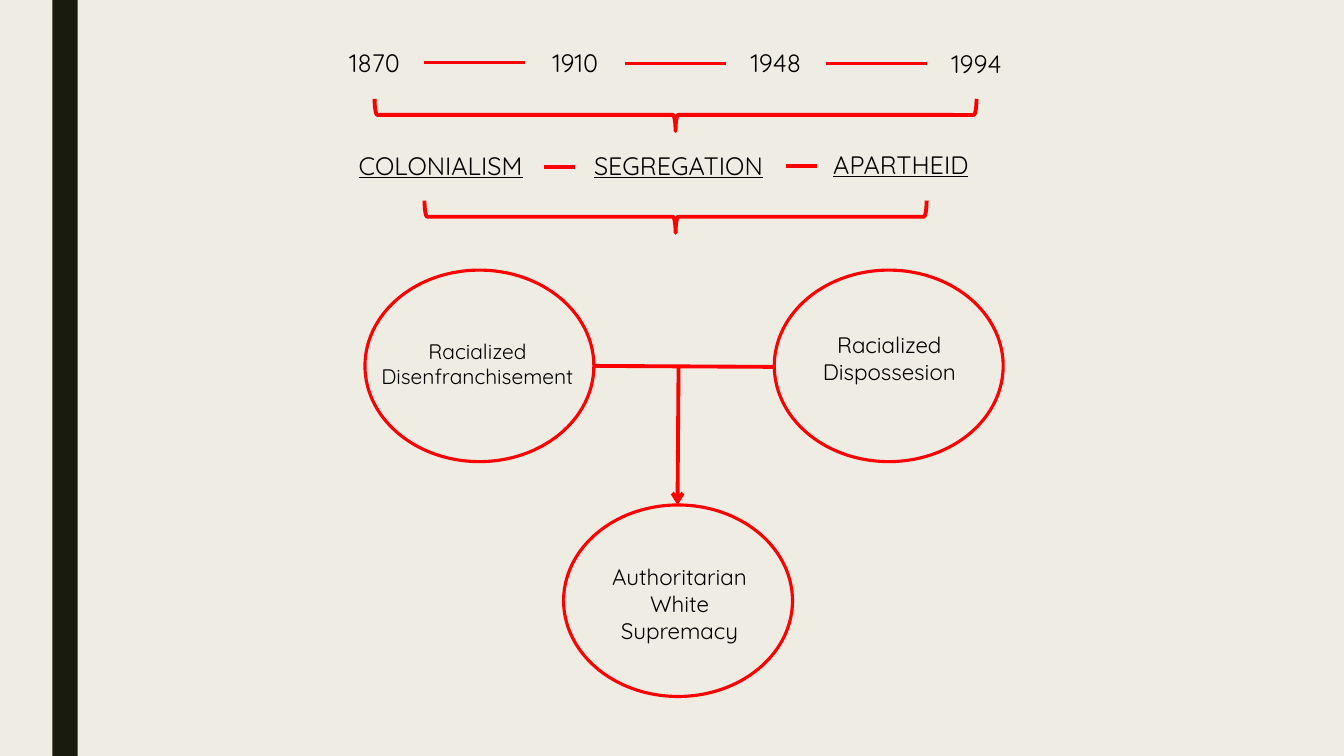
from dataclasses import dataclass

from lxml import etree
from pptx import Presentation
from pptx.dml.color import RGBColor
from pptx.enum.shapes import MSO_CONNECTOR, MSO_SHAPE
from pptx.enum.text import MSO_AUTO_SIZE, PP_ALIGN
from pptx.oxml.ns import qn
from pptx.util import Emu, Pt

RECTANGLE = MSO_SHAPE.RECTANGLE
ELLIPSE = MSO_SHAPE.OVAL
BRACE = MSO_SHAPE.RIGHT_BRACE
STRAIGHT = MSO_CONNECTOR.STRAIGHT
CENTER = PP_ALIGN.CENTER
GROW = MSO_AUTO_SIZE.SHAPE_TO_FIT_TEXT

EMU_PER_PX = 9144  # 100 px to the inch
SLIDE_WIDTH, SLIDE_HEIGHT = 1333, 750


@dataclass(frozen=True)
class Theme:
    background: RGBColor = RGBColor(0xEF, 0xED, 0xE3)
    band: RGBColor = RGBColor(0x19, 0x1B, 0x0E)
    accent: RGBColor = RGBColor(0xFF, 0x00, 0x00)
    text: RGBColor = RGBColor(0x00, 0x00, 0x00)
    font: str = "Quicksand"
    heading_size: float = 18
    body_size: float = 16
    small_size: float = 15
    line_width: float = 2.75
    circle_width: float = 2.25


def px(length):
    return Emu(round(length * EMU_PER_PX))


def write_text(frame, text, *, theme, size, underline=None):
    """Fill a text frame with one centred paragraph per line of text."""
    frame.word_wrap = True
    frame.auto_size = GROW
    for index, line in enumerate(text.split("\n")):
        paragraph = frame.paragraphs[0] if index == 0 else frame.add_paragraph()
        paragraph.alignment = CENTER
        run = paragraph.add_run()
        run.text = line
        run.font.name = theme.font
        run.font.size = Pt(size)
        run.font.underline = underline
        run.font.color.rgb = theme.text


class Diagram:
    def __init__(self, slide, theme):
        self.slide = slide
        self.theme = theme
        background = slide.background.fill
        background.solid()
        background.fore_color.rgb = theme.background

    def shape(self, kind, left, top, width, height):
        shape = self.slide.shapes.add_shape(kind, px(left), px(top), px(width), px(height))
        shape.shadow.inherit = False
        return shape

    def band(self, left, top, width, height):
        band = self.shape(RECTANGLE, left, top, width, height)
        band.fill.solid()
        band.fill.fore_color.rgb = self.theme.band
        band.line.fill.background()

    def outline(self, kind, left, top, width, height, line_width):
        shape = self.shape(kind, left, top, width, height)
        shape.fill.background()
        shape.line.color.rgb = self.theme.accent
        shape.line.width = Pt(line_width)
        return shape

    def circle(self, left, top):
        self.outline(ELLIPSE, left, top, 227, 190, self.theme.circle_width)

    def brace(self, center, middle, span, depth=32):
        """Draw a brace that opens upwards, by turning a right brace."""
        brace = self.outline(BRACE, center - depth / 2, middle - span / 2,
                             depth, span, self.theme.line_width)
        brace.rotation = 90

    def label(self, text, left, top, width, height, **text_format):
        box = self.slide.shapes.add_textbox(px(left), px(top), px(width), px(height))
        write_text(box.text_frame, text, theme=self.theme, **text_format)

    def line(self, start_x, start_y, end_x, end_y, arrow=False):
        line = self.slide.shapes.add_connector(
            STRAIGHT, px(start_x), px(start_y), px(end_x), px(end_y))
        line.line.color.rgb = self.theme.accent
        line.line.width = Pt(self.theme.line_width)
        if arrow:
            etree.SubElement(line.line._get_or_add_ln(), qn("a:tailEnd"), type="arrow")
        etree.SubElement(line._element.spPr, qn("a:effectLst"))


def main():
    presentation = Presentation()
    presentation.slide_width = px(SLIDE_WIDTH)
    presentation.slide_height = px(SLIDE_HEIGHT)
    slide = presentation.slides.add_slide(presentation.slide_layouts[6])
    theme = Theme()
    diagram = Diagram(slide, theme)

    diagram.band(52, 0, 25, SLIDE_HEIGHT)

    year_width, year_step = 99, 199
    years = [("1870", 42), ("1910", 42), ("1948", 42), ("1994", 43)]
    for index, (year, top) in enumerate(years):
        left = 322 + index * year_step
        diagram.label(year, left, top, year_width, 40, size=theme.heading_size)
    for index, middle in enumerate([62, 63, 63]):
        left = 421 + index * year_step
        diagram.line(left, middle, left + 100, middle)
    diagram.brace(670, 114, 597)

    eras = [
        ("COLONIALISM", 338, 144, 198),
        ("SEGREGATION", 568, 144, 210),
        ("APARTHEID", 811, 143, 165),
    ]
    for era, left, top, width in eras:
        diagram.label(era, left, top, width, 40, size=theme.heading_size, underline=True)
    for left, middle in [(540, 166), (780, 165)]:
        diagram.line(left, middle, left + 30, middle)
    diagram.brace(670, 215, 498)

    for left, top in [(768, 268), (362, 268), (559, 501)]:
        diagram.circle(left, top)
    diagram.label("Racialized\nDispossesion", 785, 324, 194, 64, size=theme.body_size)
    diagram.label("Racialized\nDisenfranchisement", 355, 331, 237, 61, size=theme.small_size)
    diagram.label("Authoritarian\nWhite Supremacy", 577, 554, 194, 91, size=theme.body_size)

    diagram.line(589, 363, 768, 364)
    diagram.line(673, 364, 672, 501, arrow=True)

    presentation.save("out.pptx")


if __name__ == "__main__":
    main()
